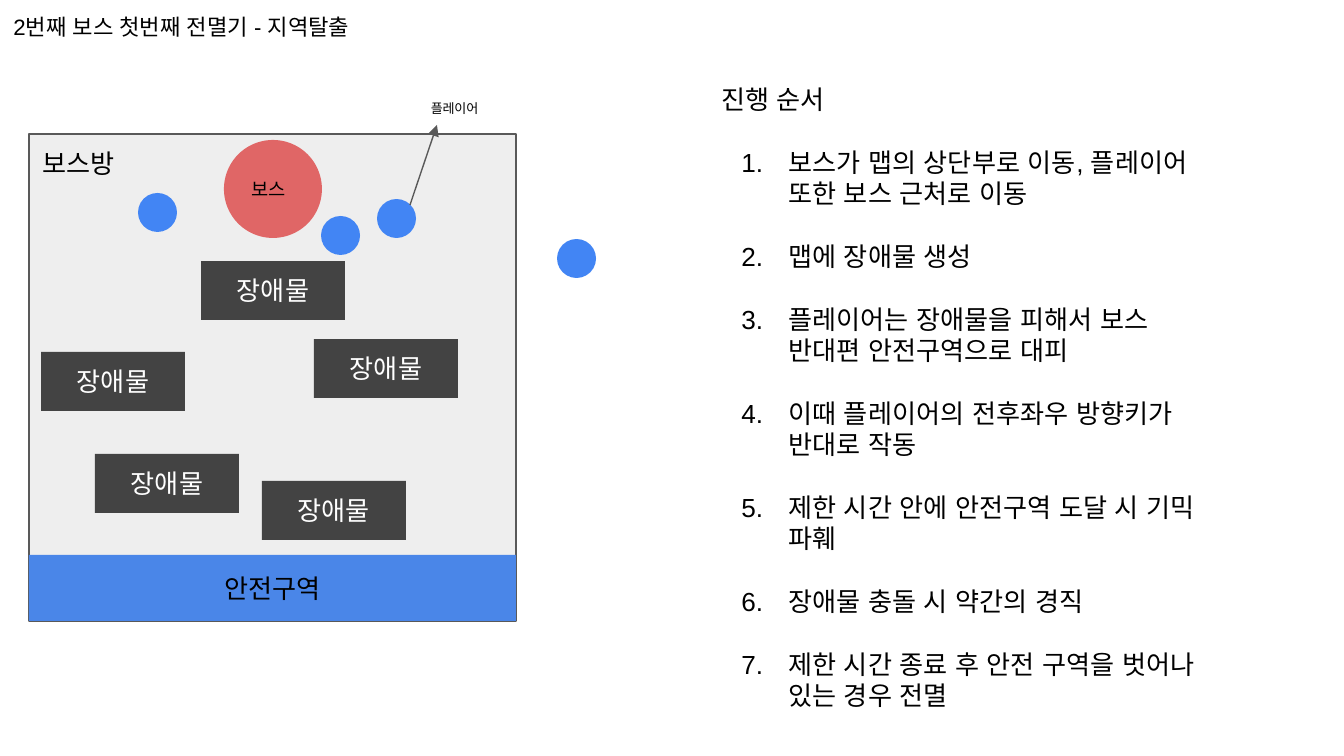
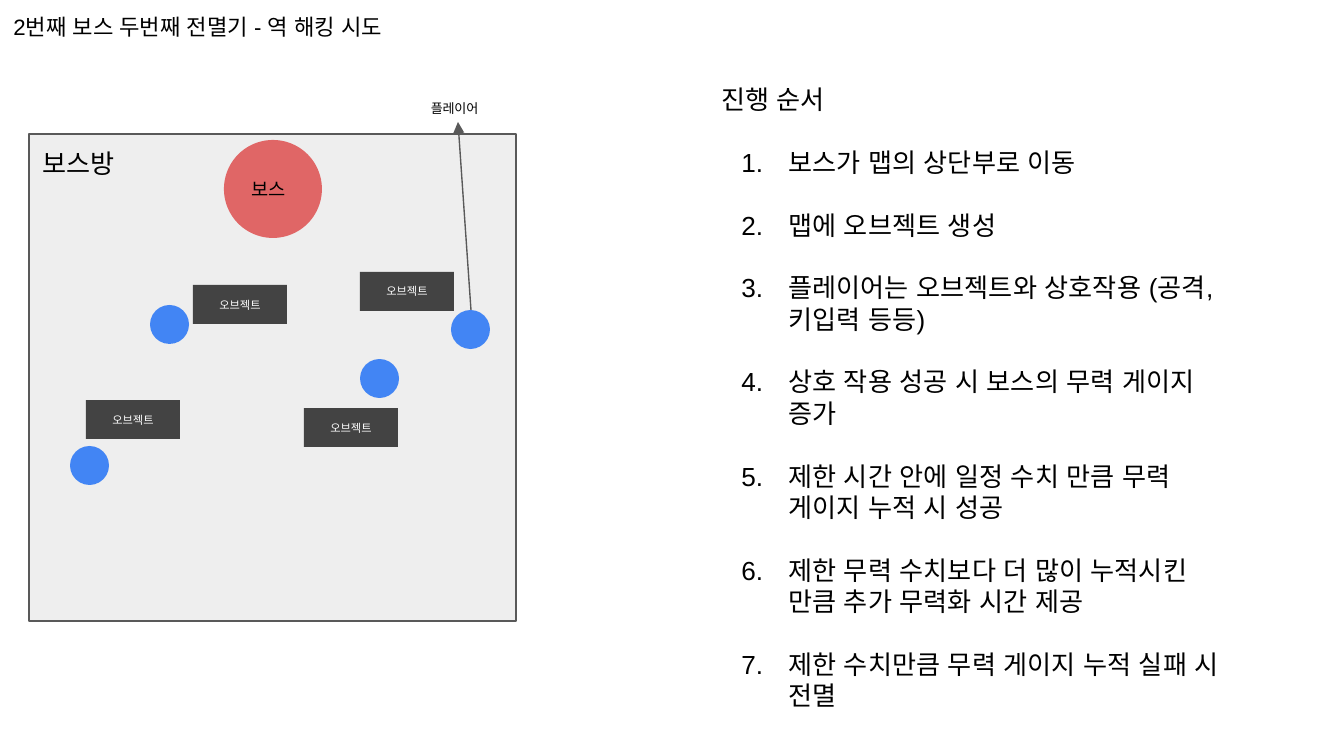
from pptx import Presentation
from pptx.dml.color import RGBColor
from pptx.enum.lang import MSO_LANGUAGE_ID
from pptx.enum.shapes import MSO_CONNECTOR, MSO_SHAPE
from pptx.enum.text import MSO_ANCHOR, MSO_AUTO_SIZE, PP_ALIGN
from pptx.oxml.ns import qn
from pptx.util import Emu, Inches, Pt
from lxml import etree

RECT, OVAL = MSO_SHAPE.RECTANGLE, MSO_SHAPE.OVAL
STRAIGHT = MSO_CONNECTOR.STRAIGHT
LEFT, CENTER = PP_ALIGN.LEFT, PP_ALIGN.CENTER
TOP, MIDDLE = MSO_ANCHOR.TOP, MSO_ANCHOR.MIDDLE
GROW, FIXED = MSO_AUTO_SIZE.SHAPE_TO_FIT_TEXT, MSO_AUTO_SIZE.NONE
KOREAN = MSO_LANGUAGE_ID.KOREAN

BLACK = RGBColor(0x00, 0x00, 0x00)
WHITE = RGBColor(0xFF, 0xFF, 0xFF)
FLOOR = RGBColor(0xEE, 0xEE, 0xEE)
OUTLINE = RGBColor(0x59, 0x59, 0x59)
BOSS_RED = RGBColor(0xE0, 0x66, 0x66)
PLAYER_BLUE = RGBColor(0x42, 0x85, 0xF4)
SAFE_BLUE = RGBColor(0x4A, 0x86, 0xE8)
BLOCK_GRAY = RGBColor(0x43, 0x43, 0x43)

FONT = "Arial"
PX = 914400 / 134.4
INSET = Inches(0.1)
STEP_GAP = Pt(16.8)

ROOM = (29, 134, 487, 487)
ROOM_LABEL = (29, 134, 121, 59)
BOSS = (224, 140, 98, 98)
SAFE_ZONE = (29, 555, 487, 66)
PLAYER_LABEL = (413, 93, 83, 43)
STEPS = (708, 70, 532, 661)
PLAYER_SIZE = 39
TITLE_HEIGHT = 53

SLIDES = [
    {
        "title": "2번째 보스 첫번째 전멸기 - 지역탈출",
        "title_width": 390,
        "steps": [
            "보스가 맵의 상단부로 이동, 플레이어 또한 보스 근처로 이동",
            "맵에 장애물 생성",
            "플레이어는 장애물을 피해서 보스 반대편 안전구역으로 대피",
            "이때 플레이어의 전후좌우 방향키가 반대로 작동",
            "제한 시간 안에 안전구역 도달 시 기믹 파훼",
            "장애물 충돌 시 약간의 경직",
            "제한 시간 종료 후 안전 구역을 벗어나 있는 경우 전멸",
        ],
        "safe_zone": "안전구역",
        "block": ("장애물", 14, (144, 59)),
        "blocks": [(201, 261), (41, 352), (95, 454), (262, 481), (314, 339)],
        "players": [(557, 239), (138, 193), (321, 216), (377, 199)],
        "arrow": (410, 205, 437, 125),
    },
    {
        "title": "2번째 보스 두번째 전멸기 - 역 해킹 시도",
        "title_width": 426,
        "steps": [
            "보스가 맵의 상단부로 이동",
            "맵에 오브젝트 생성",
            "플레이어는 오브젝트와 상호작용 (공격, 키입력 등등)",
            "상호 작용 성공 시 보스의 무력 게이지 증가",
            "제한 시간 안에 일정 수치 만큼 무력 게이지 누적 시 성공",
            "제한 무력 수치보다 더 많이 누적시킨 만큼 추가 무력화 시간 제공",
            "제한 수치만큼 무력 게이지 누적 실패 시 전멸",
        ],
        "safe_zone": None,
        "block": ("오브젝트", 6, (94, 39)),
        "blocks": [(86, 400), (193, 285), (304, 408), (360, 272)],
        "players": [(150, 305), (70, 446), (360, 359), (451, 310)],
        "arrow": (471, 310, 458, 122),
    },
]


def px(values):
    return [Emu(round(v * PX)) for v in values]


def add_run(p, text, size, color):
    r = p.add_run()
    r.text = text
    r.font.size = Pt(size)
    r.font.name = FONT
    r.font.color.rgb = color
    r.font.language_id = KOREAN
    etree.SubElement(r.font._element, qn("a:ea")).set("typeface", FONT)


def set_frame(tf, anchor, fit):
    tf.word_wrap = True
    tf.auto_size = fit
    tf.vertical_anchor = anchor
    tf.margin_left = tf.margin_right = tf.margin_top = tf.margin_bottom = INSET


def set_text(sp, text, size, color, align=LEFT, anchor=TOP, fit=FIXED):
    set_frame(sp.text_frame, anchor, fit)
    p = sp.text_frame.paragraphs[0]
    p.alignment = align
    add_run(p, text, size, color)
    return p


def add_shape(s, kind, box, fill, line=None):
    sp = s.shapes.add_shape(kind, *px(box))
    sp.shadow.inherit = False
    sp.fill.solid()
    sp.fill.fore_color.rgb = fill
    if line is None:
        sp.line.fill.background()
    else:
        sp.line.color.rgb = line
        sp.line.width = Pt(0.75)
    return sp


def add_label(s, box, text, size, align=LEFT):
    sp = s.shapes.add_textbox(*px(box))
    set_text(sp, text, size, BLACK, align, fit=GROW)
    return sp


def add_title(s, text, width):
    sp = s.shapes.title
    sp.left, sp.top, sp.width, sp.height = px((0, 0, width, TITLE_HEIGHT))
    set_text(sp, text, 11.9, BLACK)


def add_steps(s, steps):
    tf = add_label(s, STEPS, "진행 순서", 14).text_frame
    for step in steps:
        p = tf.add_paragraph()
        p.space_before = STEP_GAP
        pPr = p._p.get_or_add_pPr()
        pPr.set("marL", str(Inches(0.5)))
        pPr.set("indent", str(-Inches(0.35)))
        color = etree.SubElement(pPr, qn("a:buClr"))
        etree.SubElement(color, qn("a:srgbClr")).set("val", str(BLACK))
        etree.SubElement(pPr, qn("a:buFont")).set("typeface", FONT)
        etree.SubElement(pPr, qn("a:buAutoNum")).set("type", "arabicPeriod")
        add_run(p, step, 14, BLACK)


def add_arrow(s, ends):
    line = s.shapes.add_connector(STRAIGHT, *px(ends))
    line.line.color.rgb = OUTLINE
    line.line.width = Pt(0.75)
    spPr = line._element.spPr
    etree.SubElement(spPr.find(qn("a:ln")), qn("a:tailEnd")).set("type", "triangle")
    etree.SubElement(spPr, qn("a:effectLst"))


def add_map(s, data):
    add_shape(s, RECT, ROOM, FLOOR, OUTLINE)
    boss = add_shape(s, OVAL, BOSS, BOSS_RED)
    set_text(boss, "보스", 10, BLACK, anchor=MIDDLE)
    add_label(s, ROOM_LABEL, "보스방", 14)
    if data["safe_zone"]:
        zone = add_shape(s, RECT, SAFE_ZONE, SAFE_BLUE)
        set_text(zone, data["safe_zone"], 14, BLACK, CENTER, MIDDLE)
    name, size, extent = data["block"]
    for corner in data["blocks"]:
        block = add_shape(s, RECT, corner + extent, BLOCK_GRAY)
        set_text(block, name, size, WHITE, CENTER, MIDDLE)
    for corner in data["players"]:
        add_shape(s, OVAL, corner + (PLAYER_SIZE, PLAYER_SIZE), PLAYER_BLUE)
    add_arrow(s, data["arrow"])
    add_label(s, PLAYER_LABEL, "플레이어", 7, CENTER)


prs = Presentation()
prs.slide_width, prs.slide_height = px((1344, 756))
title_only = prs.slide_layouts[5]
for data in SLIDES:
    s = prs.slides.add_slide(title_only)
    add_title(s, data["title"], data["title_width"])
    add_steps(s, data["steps"])
    add_map(s, data)
prs.save("out.pptx")
